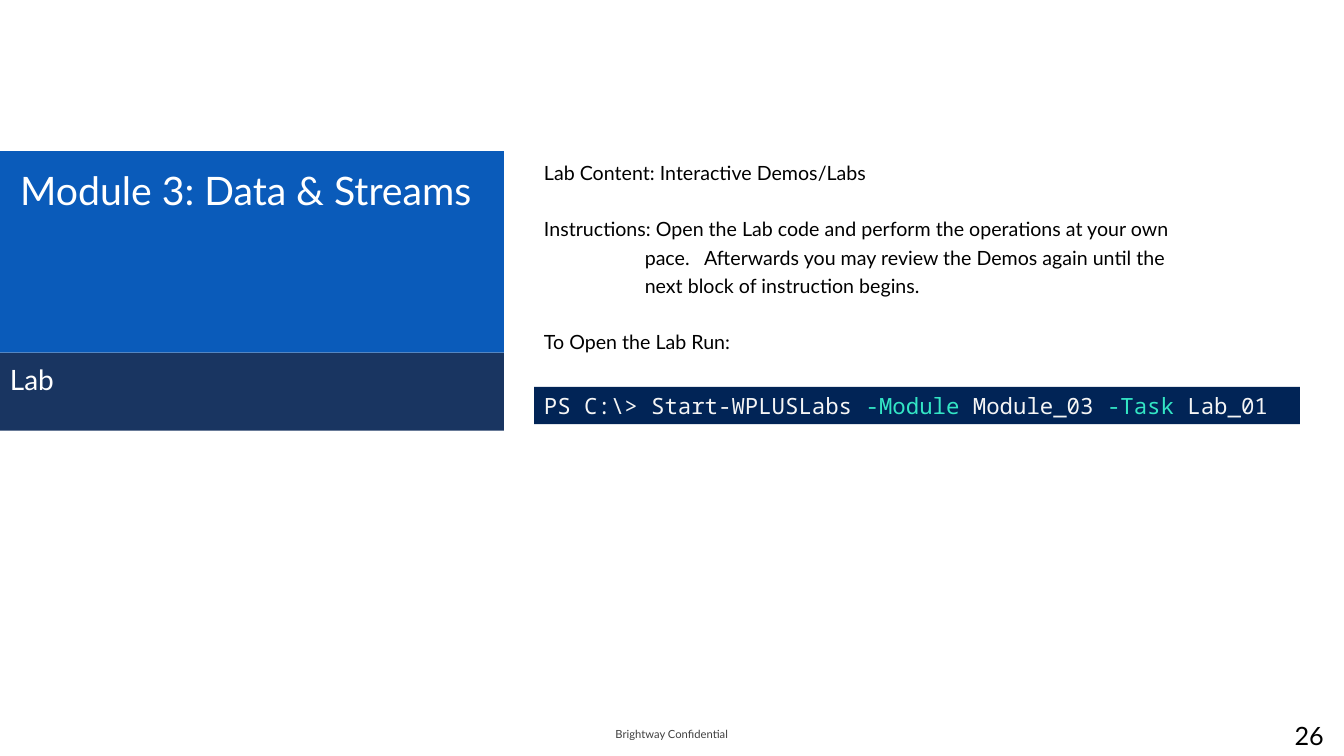
from pptx import Presentation
from pptx.dml.color import RGBColor
from pptx.enum.shapes import MSO_SHAPE
from pptx.enum.text import MSO_ANCHOR, PP_ALIGN
from pptx.oxml.ns import qn
from pptx.util import Cm, Pt
from lxml import etree

RECT = MSO_SHAPE.RECTANGLE
TOP, MIDDLE = MSO_ANCHOR.TOP, MSO_ANCHOR.MIDDLE
LEFT, CENTER, RIGHT = PP_ALIGN.LEFT, PP_ALIGN.CENTER, PP_ALIGN.RIGHT
SANS, MONO = "Lato", "Noto Sans Mono"
WHITE, BLACK, GREY = "FFFFFF", "000000", "3F3F3F"
BLUE, NAVY, CONSOLE = "0A5BBA", "002050", "012456"
PLAIN, PARAM = "F5F5F5", "33E6C5"

# Content: a paragraph is a list of (text, colour) runs
TITLE = [[("Module 3: Data & Streams", WHITE)]]
SUBTITLE = [[("Lab", WHITE)]]
STEPS = [[(text, BLACK)] for text in (
    "Lab Content: Interactive Demos/Labs",
    "Instructions: Open the Lab code and perform the operations at your own "
    "pace.   Afterwards you may review the Demos again until the next block "
    "of instruction begins.",
    "To Open the Lab Run:",
)]
COMMAND = [[("PS C:\\> Start-WPLUSLabs ", PLAIN), ("-Module ", PARAM),
            ("Module_03 ", PLAIN), ("-Task ", PARAM), ("Lab_01", PLAIN)]]
FOOTER = [[("Brightway Confidential", GREY)]]
PAGE = [[("26", BLACK)]]

# Layout in cm
SLIDE_W, SLIDE_H = 33.87, 19.05
PANEL_W, PANEL_TOP, TITLE_H = 12.7, 3.81, 5.08
TEXT_X = 13.46
FOOT_W, FOOT_H = 7.9, 1.02
INSET = (0.25, 0.13, 0.25, 0.13)
FOOT_INSET = (0.51, 0.13, 0.51, 0.13)


def rgb(value):
    return RGBColor.from_string(value)


def add_text(box, paragraphs, size, font=SANS, fill=None, alpha=None,
             inset=INSET, anchor=TOP, align=LEFT, **spacing):
    box = [Cm(v) for v in box]
    if fill:
        sp = slide.shapes.add_shape(RECT, *box)
        sp.shadow.inherit = False
        sp.fill.solid()
        sp.fill.fore_color.rgb = rgb(fill)
        sp.line.fill.background()
        if alpha:
            color = sp.fill._xPr.find(qn("a:solidFill"))[0]
            etree.SubElement(color, qn("a:alpha")).set("val", str(alpha * 1000))
    else:
        sp = slide.shapes.add_textbox(*box)
    tf = sp.text_frame
    margins = zip(("left", "top", "right", "bottom"), inset)
    frame = {f"margin_{side}": Cm(v) for side, v in margins}
    for name, value in {**frame, "word_wrap": True,
                        "vertical_anchor": anchor}.items():
        setattr(tf, name, value)
    for i, runs in enumerate(paragraphs):
        p = tf.add_paragraph() if i else tf.paragraphs[0]
        for name, value in {"alignment": align, **spacing}.items():
            setattr(p, name, value)
        for text, color in runs:
            r = p.add_run()
            r.text = text
            for name, value in {"size": Pt(size), "name": font}.items():
                setattr(r.font, name, value)
            r.font.color.rgb = rgb(color)
    return tf


prs = Presentation()
prs.slide_width, prs.slide_height = Cm(SLIDE_W), Cm(SLIDE_H)
slide = prs.slides.add_slide(prs.slide_layouts[6])

# Title panel
add_text((0, PANEL_TOP, PANEL_W, TITLE_H), TITLE, 28, fill=BLUE,
         inset=(0.51, 0.38, 0.25, 0.13))
add_text((0, PANEL_TOP + TITLE_H, PANEL_W, 1.96), SUBTITLE, 20, fill=NAVY,
         alpha=90, inset=(0.25, 0.25, 0.25, 0.13))

# Lab steps, with a hanging indent on the instructions
tf = add_text((TEXT_X, PANEL_TOP, 16.61, 13.77), STEPS, 14, line_spacing=1.2)
for p in tf.paragraphs[1:]:
    p.space_before = Pt(20)
pPr = tf.paragraphs[1]._p.get_or_add_pPr()
for name, value in {"marL": Cm(2.54), "indent": -Cm(2.54)}.items():
    pPr.set(name, str(value))

# Console command
add_text((TEXT_X, 9.75, 19.3, 0.94), COMMAND, 16, font=MONO, fill=CONSOLE)

# Footer and page number
foot = {"inset": FOOT_INSET, "anchor": MIDDLE}
add_text((12.98, 17.98, FOOT_W, FOOT_H), FOOTER, 8, align=CENTER, **foot)
add_text((SLIDE_W - FOOT_W, SLIDE_H - FOOT_H, FOOT_W, FOOT_H), PAGE, 18,
         align=RIGHT, **foot)

prs.save("out.pptx")
